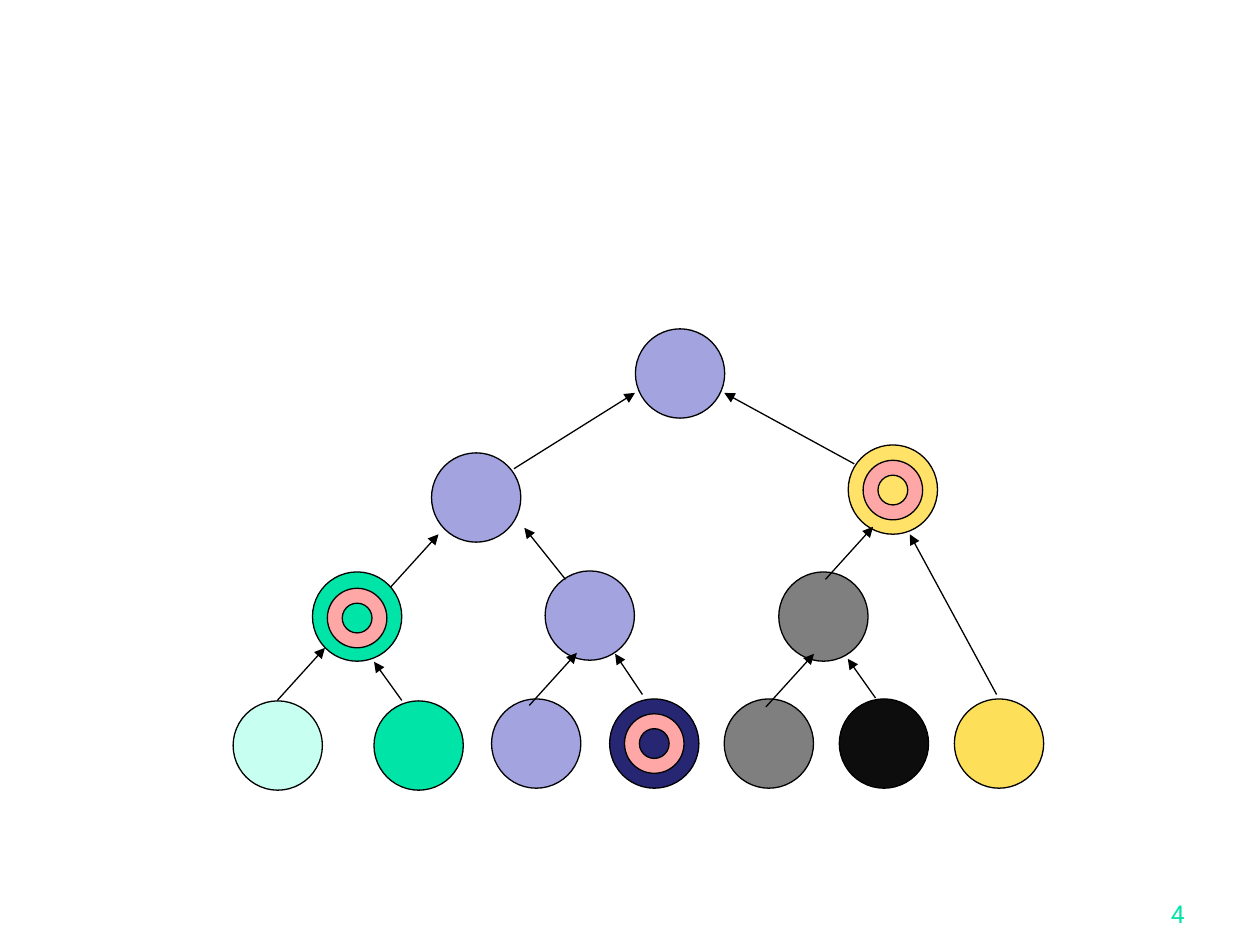
from dataclasses import dataclass
from typing import NamedTuple

from lxml import etree
from pptx import Presentation
from pptx.dml import color
from pptx.enum import shapes, text
from pptx.oxml import ns
from pptx.util import Cm, Pt


@dataclass(frozen=True)
class Theme:
    font: str = "Roboto"
    number_size: float = 14
    line_width: float = 0.75
    node_size: float = 1.8
    ring_size: float = 1.2
    line: str = "000000"
    mint: str = "C7FFF0"
    green: str = "00E4A8"
    lilac: str = "A3A3E0"
    navy: str = "262673"
    grey: str = "7F7F7F"
    black: str = "0D0D0D"
    yellow: str = "FEDF59"
    gold: str = "FFE267"
    pink: str = "FFA7A7"


class Point(NamedTuple):
    x: float
    y: float


class Node(NamedTuple):
    center: Point
    fill: str


class Arrow(NamedTuple):
    start: Point
    end: Point


THEME = Theme()

NODES = [
    Node(Point(5.6, 15.03), THEME.mint),
    Node(Point(8.44, 15.03), THEME.green),
    Node(Point(10.81, 14.99), THEME.lilac),
    Node(Point(13.19, 14.99), THEME.navy),
    Node(Point(15.5, 14.99), THEME.grey),
    Node(Point(17.82, 14.99), THEME.black),
    Node(Point(20.14, 14.99), THEME.yellow),
    Node(Point(7.2, 12.43), THEME.green),
    Node(Point(11.89, 12.41), THEME.lilac),
    Node(Point(16.6, 12.43), THEME.grey),
    Node(Point(9.6, 10.03), THEME.lilac),
    Node(Point(18, 9.87), THEME.gold),
    Node(Point(13.71, 7.53), THEME.lilac),
]

ARROWS = [
    Arrow(Point(5.59, 14.12), Point(6.55, 13.06)),
    Arrow(Point(8.1, 14.12), Point(7.54, 13.34)),
    Arrow(Point(10.67, 14.22), Point(11.63, 13.16)),
    Arrow(Point(15.44, 14.25), Point(16.41, 13.18)),
    Arrow(Point(12.95, 14), Point(12.4, 13.18)),
    Arrow(Point(17.65, 14.07), Point(17.09, 13.28)),
    Arrow(Point(20.09, 14), Point(18.34, 10.77)),
    Arrow(Point(16.64, 11.68), Point(17.6, 10.62)),
    Arrow(Point(7.87, 11.84), Point(8.84, 10.77)),
    Arrow(Point(10.36, 9.45), Point(12.8, 7.92)),
    Arrow(Point(11.4, 11.68), Point(10.57, 10.64)),
    Arrow(Point(17.22, 9.35), Point(14.6, 7.92)),
]

RINGS = [Point(18, 9.88), Point(7.2, 12.46), Point(13.19, 14.99)]


def rgb(value: str) -> color.RGBColor:
    return color.RGBColor.from_string(value)


def style_line(line) -> None:
    line.color.rgb = rgb(THEME.line)
    line.width = Pt(THEME.line_width)


def draw_round(page, kind, center: Point, size: float, fill: str):
    shape = page.shapes.add_shape(
        kind, Cm(center.x - size / 2), Cm(center.y - size / 2), Cm(size), Cm(size)
    )
    shape.shadow.inherit = False
    shape.fill.solid()
    shape.fill.fore_color.rgb = rgb(fill)
    style_line(shape.line)
    return shape


def draw_arrow(page, arrow: Arrow) -> None:
    connector = page.shapes.add_connector(
        shapes.MSO_CONNECTOR.STRAIGHT, *map(Cm, arrow.start + arrow.end)
    )
    style_line(connector.line)
    outline = connector.line._get_or_add_ln()
    etree.SubElement(outline, ns.qn("a:tailEnd"), type="triangle")
    etree.SubElement(connector._element.spPr, ns.qn("a:effectLst"))


def draw_number(page, number: str) -> None:
    box = page.shapes.add_textbox(Cm(18.85), Cm(17.58), Cm(5.28), Cm(1.27))
    frame = box.text_frame
    frame.word_wrap = True
    frame.vertical_anchor = text.MSO_ANCHOR.BOTTOM
    para = frame.paragraphs[0]
    para.text = number
    para.alignment = text.PP_ALIGN.RIGHT
    para.font.name = THEME.font
    para.font.size = Pt(THEME.number_size)
    para.font.color.rgb = rgb(THEME.green)


def main() -> None:
    deck = Presentation()
    deck.slide_width, deck.slide_height = Cm(25.4), Cm(19.05)
    page = deck.slides.add_slide(deck.slide_layouts.get_by_name("Blank"))
    draw_number(page, "4")
    for node in NODES:
        draw_round(page, shapes.MSO_SHAPE.FLOWCHART_CONNECTOR,
                   node.center, THEME.node_size, node.fill)
    for arrow in ARROWS:
        draw_arrow(page, arrow)
    for center in RINGS:
        ring = draw_round(page, shapes.MSO_SHAPE.DONUT,
                          center, THEME.ring_size, THEME.pink)
        ring.adjustments[0] = 0.25
    deck.save("out.pptx")


if __name__ == "__main__":
    main()
